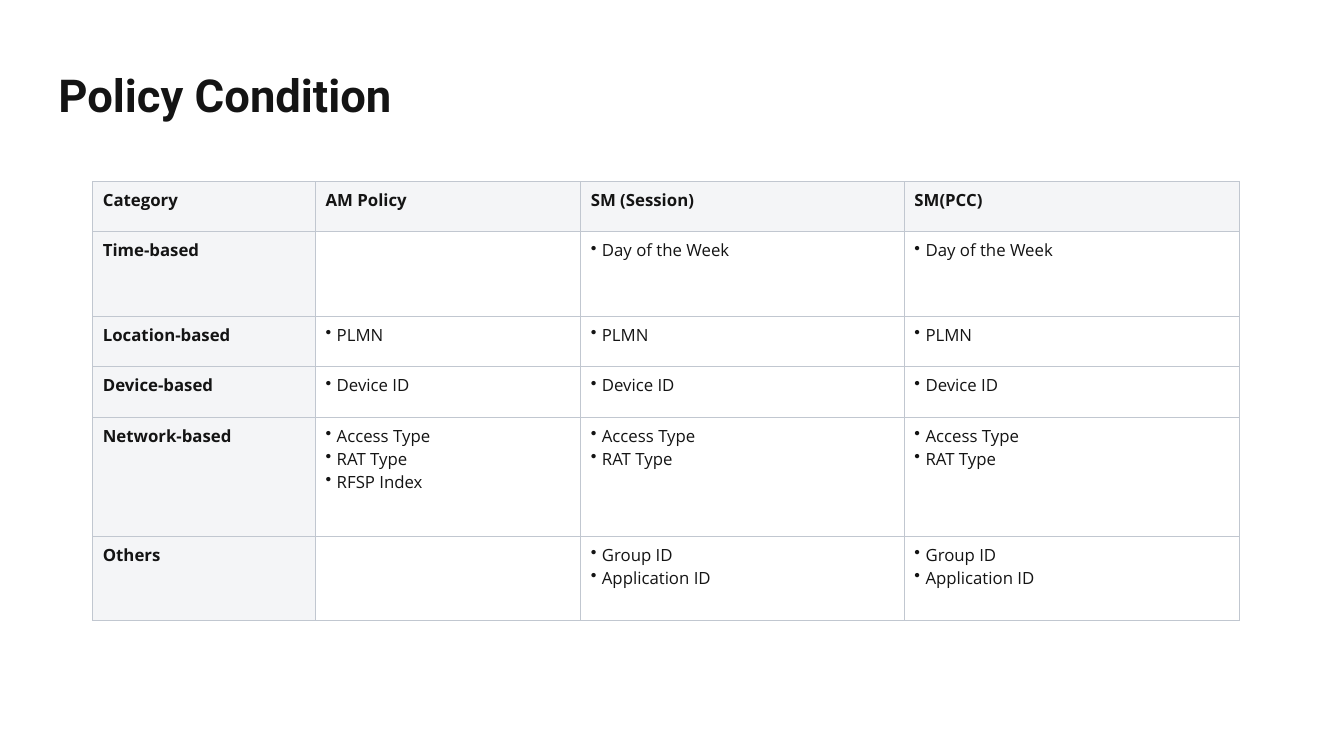
from pptx import Presentation
from pptx.dml.color import RGBColor
from pptx.enum.text import MSO_ANCHOR
from pptx.oxml import parse_xml
from pptx.oxml.ns import nsdecls
from pptx.util import Inches, Pt

MIDDLE = MSO_ANCHOR.MIDDLE
COLORS = {"text": "141414", "header": "F4F5F7", "body": "FFFFFF", "border": "C1C7D0"}

COL_WIDTHS = [2.21, 2.63, 3.21, 3.32]
ROW_HEIGHTS = [0.5, 0.84, 0.5, 0.5, 1.18, 0.84]
# Each cell is a list of its lines
ROWS = [
    [["Category"], ["AM Policy"], ["SM (Session)"], ["SM(PCC)"]],
    [["Time-based"], [], ["Day of the Week"], ["Day of the Week"]],
    [["Location-based"], ["PLMN"], ["PLMN"], ["PLMN"]],
    [["Device-based"], ["Device ID"], ["Device ID"], ["Device ID"]],
    [["Network-based"], ["Access Type", "RAT Type", "RFSP Index"],
     ["Access Type", "RAT Type"], ["Access Type", "RAT Type"]],
    [["Others"], [], ["Group ID", "Application ID"], ["Group ID", "Application ID"]],
]


def add_run(p, text, font, size, bold):
    r = p.add_run()
    r.text = text
    r.font.name = font
    r.font.size = Pt(size)
    r.font.bold = bold
    r.font.color.rgb = RGBColor.from_string(COLORS["text"])


prs = Presentation()
prs.slide_width = Inches(13.33)
prs.slide_height = Inches(7.5)
s = prs.slides.add_slide(prs.slide_layouts[6])

# Title
tf = s.shapes.add_textbox(Inches(0.48), Inches(0.6), Inches(12.32), Inches(0.75)).text_frame
tf.word_wrap = True
tf.vertical_anchor = MIDDLE
p = tf.paragraphs[0]
p.line_spacing = 0.9
add_run(p, "Policy Condition", "Roboto", 32.4, True)

# Table
table = s.shapes.add_table(
    len(ROWS), len(COL_WIDTHS), Inches(0.92), Inches(1.8),
    Inches(sum(COL_WIDTHS)), Inches(sum(ROW_HEIGHTS))).table
for column, width in zip(table.columns, COL_WIDTHS):
    column.width = Inches(width)
for row, height in zip(table.rows, ROW_HEIGHTS):
    row.height = Inches(height)

for i, row in enumerate(ROWS):
    for j, lines in enumerate(row):
        cell = table.cell(i, j)
        is_header = i == 0 or j == 0
        cell.margin_left = Inches(0.1)
        cell.margin_right = Inches(0.16 if i == 0 else 0.1)
        cell.margin_top = cell.margin_bottom = Inches(0.07)

        # Borders come before the fill in the cell properties
        tcPr = cell._tc.get_or_add_tcPr()
        for side in ("lnL", "lnR", "lnT", "lnB"):
            tcPr.append(parse_xml(
                f'<a:{side} {nsdecls("a")} w="{Pt(0.75)}"><a:solidFill>'
                f'<a:srgbClr val="{COLORS["border"]}"/></a:solidFill></a:{side}>'))
        cell.fill.solid()
        cell.fill.fore_color.rgb = RGBColor.from_string(
            COLORS["header" if is_header else "body"])

        # Cell text, bulleted outside the headers
        tf = cell.text_frame
        for n, line in enumerate(lines):
            p = tf.paragraphs[0] if n == 0 else tf.add_paragraph()
            if not is_header:
                pPr = p._p.get_or_add_pPr()
                pPr.set("marL", str(Inches(0.11)))
                pPr.set("indent", str(-Inches(0.11)))
                pPr.append(parse_xml(f'<a:buChar {nsdecls("a")} char="•"/>'))
            add_run(p, line, "Open Sans", 12, is_header)

prs.save("out.pptx")
